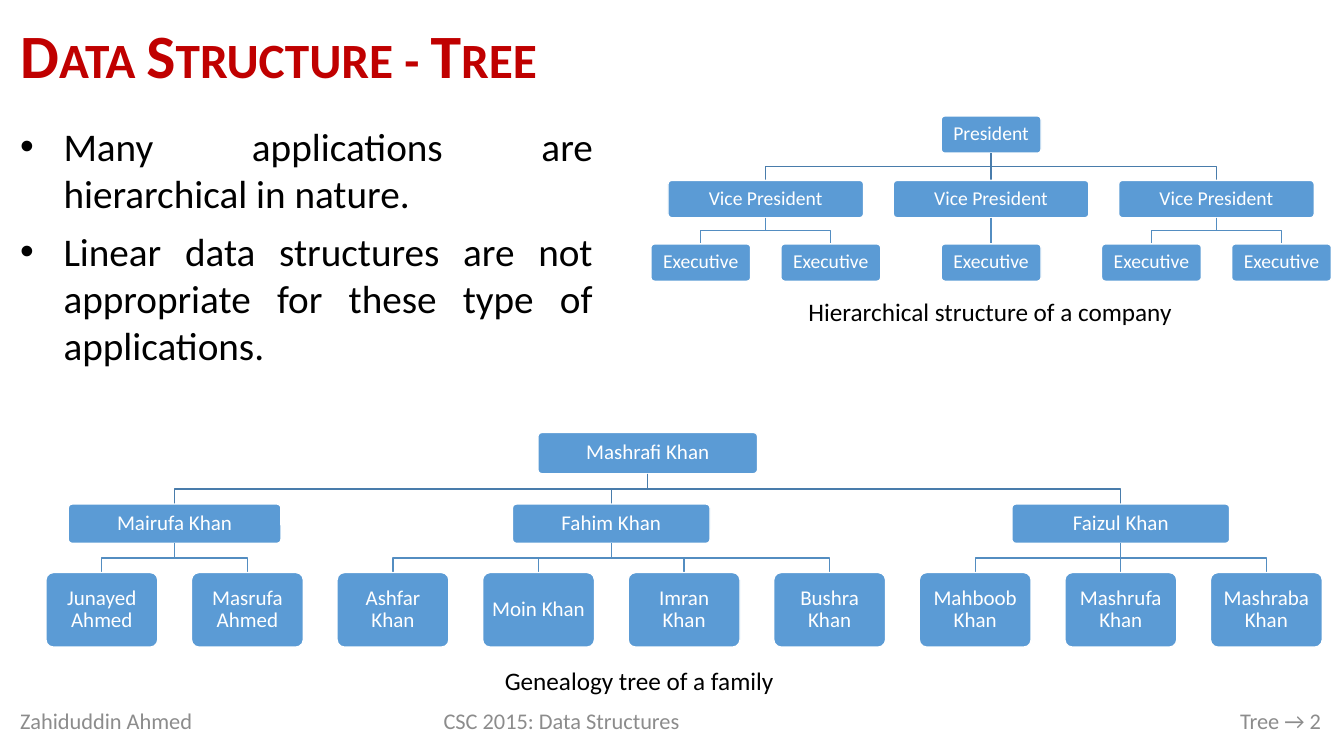
"""Build the slide that introduces trees with a company chart and a family chart."""
from dataclasses import dataclass, field
from itertools import accumulate

from lxml.etree import SubElement
from pptx import Presentation
from pptx.dml.color import RGBColor
from pptx.enum.shapes import MSO_CONNECTOR, MSO_SHAPE
from pptx.enum.text import MSO_ANCHOR, MSO_AUTO_SIZE, PP_ALIGN
from pptx.oxml.ns import qn
from pptx.util import Inches, Pt


@dataclass(frozen=True)
class Theme:
    """Font, colours and type sizes of the slide."""
    font: str = "Calibri"
    title: str = "C00000"
    text: str = "000000"
    muted: str = "8C8C8C"
    node: str = "5B9BD5"
    node_text: str = "FFFFFF"
    links: tuple = ("497CAB", "538DC1")
    title_size: int = 44
    body_size: int = 28
    caption_size: int = 18
    footer_size: int = 16
    company_size: int = 14
    family_size: int = 15


@dataclass
class Node:
    """One box of a tree, centred on x."""
    name: str
    width: float
    children: list = field(default_factory=list)
    x: float = 0


@dataclass
class TreeStyle:
    """Type size and the (top, height) of each level."""
    size: int
    levels: list


THEME = Theme()


def vice_president(reports):
    """Return a vice president with a number of executives."""
    return Node("Vice President", 1.94, [Node("Executive", 0.99) for _ in range(reports)])


def parent(name, width, *children):
    """Return a family member with named children."""
    return Node(name, width, [Node(child, 1.11) for child in children])


COMPANY = Node("President", 0.99, [vice_president(n) for n in (2, 1, 2)])
FAMILY = Node("Mashrafi Khan", 2.18, [
    parent("Mairufa Khan", 2.11, "Junayed Ahmed", "Masrufa Ahmed"),
    parent("Fahim Khan", 1.96, "Ashfar Khan", "Moin Khan", "Imran Khan", "Bushra Khan"),
    parent("Faizul Khan", 2.16, "Mahboob Khan", "Mashrufa Khan", "Mashraba Khan"),
])


def add_run(p, text, size, color, bold=False):
    """Add a formatted run to a paragraph."""
    r = p.add_run()
    r.text = text
    r.font.name = THEME.font
    r.font.size = Pt(size)
    r.font.bold = bold
    r.font.color.rgb = RGBColor.from_string(color)
    return r


def move(sp, left, top, width, height):
    """Place a shape by lengths in inches."""
    sp.left, sp.top, sp.width, sp.height = map(Inches, (left, top, width, height))


def add_title(s, text):
    """Fill the title placeholder in small capitals."""
    move(s.shapes.title, 0.1, 0.11, 13.1, 0.95)
    tf = s.shapes.title.text_frame
    tf.auto_size = MSO_AUTO_SIZE.NONE
    tf.vertical_anchor = MSO_ANCHOR.MIDDLE
    p = tf.paragraphs[0]
    p.alignment = PP_ALIGN.LEFT
    p.line_spacing = 0.9
    r = add_run(p, text, THEME.title_size, THEME.title, bold=True)
    r.font._element.set("cap", "small")


def add_bullets(s, items):
    """Fill the body placeholder with a justified bullet list."""
    body = s.placeholders[1]
    move(body, 0.1, 1.16, 5.88, 3.14)
    tf = body.text_frame
    tf.auto_size = MSO_AUTO_SIZE.NONE
    for i, item in enumerate(items):
        p = tf.add_paragraph() if i else tf.paragraphs[0]
        pPr = p._p.get_or_add_pPr()
        pPr.set("marL", str(Inches(0.43)))
        pPr.set("indent", str(Inches(-0.43)))
        SubElement(pPr, qn("a:buFont")).set("typeface", "Arial")
        SubElement(pPr, qn("a:buChar")).set("char", "•")
        p.alignment = PP_ALIGN.JUSTIFY
        p.space_before = Pt(4 if i else 0)
        p.space_after = Pt(4)
        add_run(p, item, THEME.body_size, THEME.text)


def add_label(s, text, at, size, color, align=PP_ALIGN.CENTER, anchor=MSO_ANCHOR.TOP):
    """Add a one-line text box."""
    tf = s.shapes.add_textbox(*map(Inches, at)).text_frame
    tf.word_wrap = True
    tf.vertical_anchor = anchor
    p = tf.paragraphs[0]
    p.alignment = align
    add_run(p, text, size, color)


def add_link(shapes, x1, y1, x2, y2, color):
    """Join a parent to a child with a straight or stepped line."""
    if abs(x1 - x2) < 0.01:
        link = shapes.add_connector(MSO_CONNECTOR.STRAIGHT, *map(Inches, (x1, y1, x1, y2)))
        SubElement(link._element.spPr, qn("a:effectLst"))
    else:
        middle = (y1 + y2) / 2
        builder = shapes.build_freeform(Inches(x1), Inches(y1))
        corners = [(x1, middle), (x2, middle), (x2, y2)]
        builder.add_line_segments([(Inches(x), Inches(y)) for x, y in corners], close=False)
        link = builder.convert_to_shape()
        link.shadow.inherit = False
        link.fill.background()
    link.line.color.rgb = RGBColor.from_string(color)
    link.line.width = Pt(1)


def add_node(shapes, node, top, height, size):
    """Draw one rounded box with its name."""
    at = (node.x - node.width / 2, top, node.width, height)
    sp = shapes.add_shape(MSO_SHAPE.ROUNDED_RECTANGLE, *map(Inches, at))
    sp.adjustments[0] = 0.1
    sp.shadow.inherit = False
    sp.fill.solid()
    sp.fill.fore_color.rgb = RGBColor.from_string(THEME.node)
    sp.line.color.rgb = RGBColor.from_string(THEME.node_text)
    sp.line.width = Pt(1)
    tf = sp.text_frame
    tf.word_wrap = True
    tf.vertical_anchor = MSO_ANCHOR.MIDDLE
    tf.margin_left = tf.margin_right = tf.margin_top = tf.margin_bottom = Inches(0.07)
    p = tf.paragraphs[0]
    p.alignment = PP_ALIGN.CENTER
    p.line_spacing = 0.9
    add_run(p, node.name, size, THEME.node_text)


def place(node, leaf_centers):
    """Centre leaves in turn and each parent over its children."""
    for child in node.children:
        place(child, leaf_centers)
    if node.children:
        node.x = (node.children[0].x + node.children[-1].x) / 2
    else:
        node.x = next(leaf_centers)


def draw(shapes, node, style, level=0):
    """Draw a node, then its links and children."""
    top, height = style.levels[level]
    add_node(shapes, node, top, height, style.size)
    for child in node.children:
        add_link(shapes, node.x, top + height, child.x, style.levels[level + 1][0],
                 THEME.links[level])
        draw(shapes, child, style, level + 1)


def add_tree(s, root, style, first, steps):
    """Add a grouped tree whose leaves start at first and advance by steps."""
    place(root, accumulate(steps, initial=first))
    draw(s.shapes.add_group_shape().shapes, root, style)


def main():
    """Build and save the slide."""
    prs = Presentation()
    prs.slide_width, prs.slide_height = Inches(13.33), Inches(7.5)
    s = prs.slides.add_slide(prs.slide_layouts[1])
    add_title(s, "Data Structure - Tree")
    add_bullets(s, ["Many applications are hierarchical in nature.",
                    "Linear data structures are not appropriate for these type of applications."])
    for text, left, width, align in [
            ("Zahiduddin Ahmed", 0.1, 2.41, PP_ALIGN.LEFT),
            ("CSC 2015: Data Structures", 3.89, 3.36, PP_ALIGN.CENTER),
            ("Tree → 2", 7.71, 5.49, PP_ALIGN.RIGHT)]:
        add_label(s, text, (left, 6.95, width, 0.4), THEME.footer_size, THEME.muted,
                  align, MSO_ANCHOR.MIDDLE)
    company = TreeStyle(THEME.company_size, [(1.15, 0.37), (1.79, 0.37), (2.42, 0.37)])
    family = TreeStyle(THEME.family_size, [(4.29, 0.41), (5, 0.39), (5.68, 0.74)])
    add_tree(s, COMPANY, company, 6.95, [1.29, 1.59, 1.59, 1.29])
    add_tree(s, FAMILY, family, 1.01, [11.55 / 8] * 8)
    for text, left, top in [("Hierarchical structure of a company", 6.45, 2.89),
                            ("Genealogy tree of a family", 2.97, 6.55)]:
        add_label(s, text, (left, top, 6.74, 0.4), THEME.caption_size, THEME.text)
    prs.save("out.pptx")


if __name__ == "__main__":
    main()
